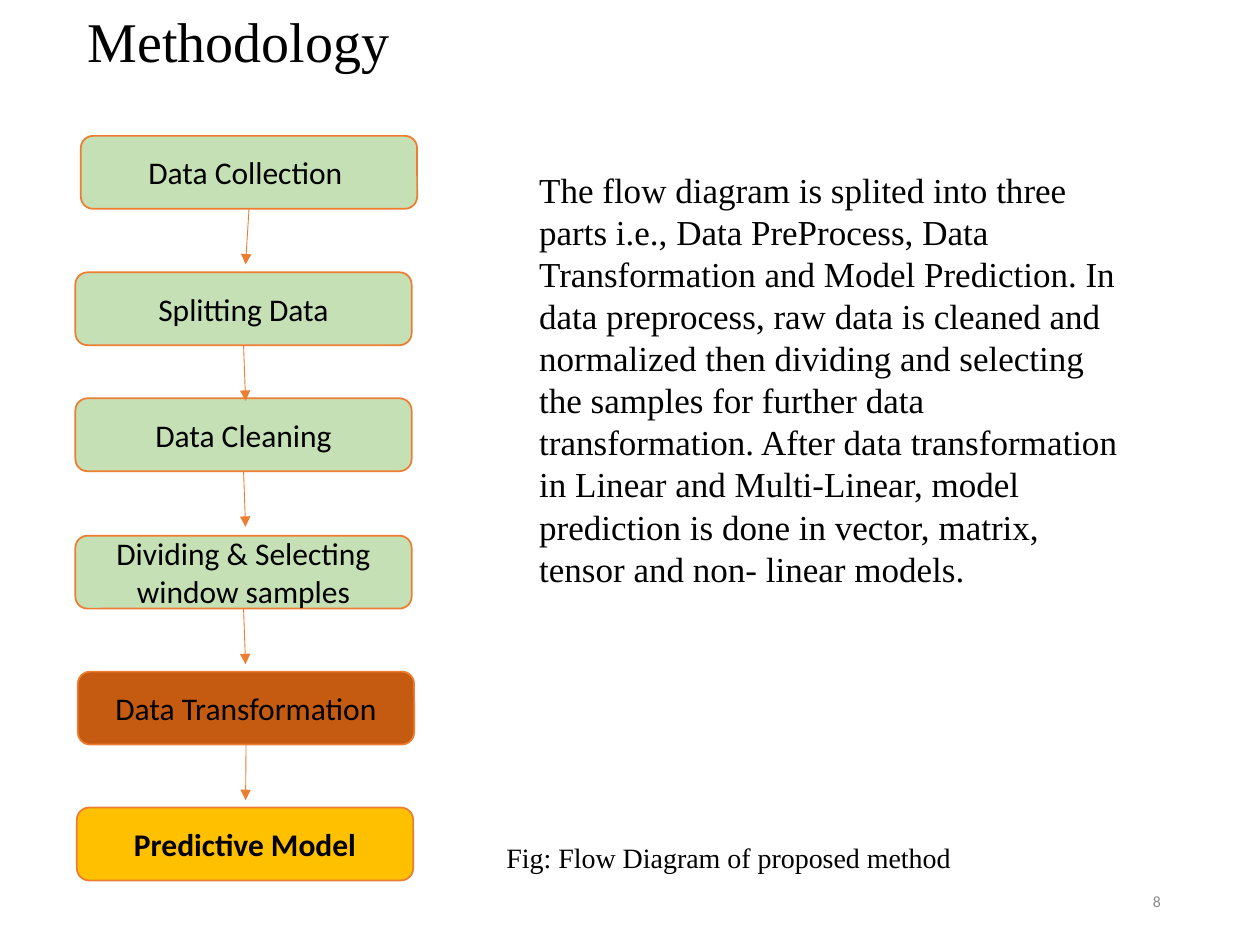
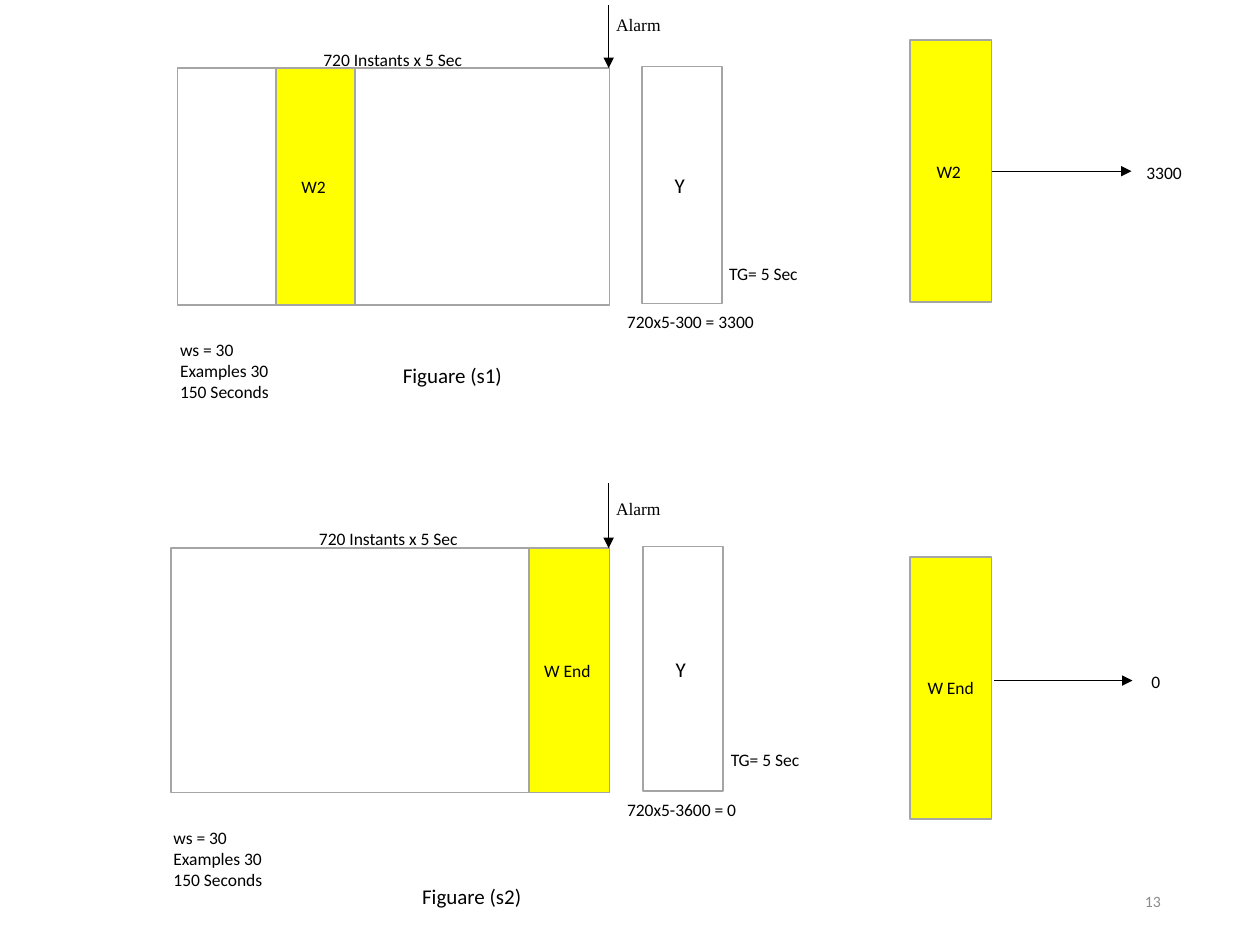
"""Build the methodology flow slide and the window labelling slide."""
from lxml import etree
from pptx import Presentation
from pptx.dml.color import RGBColor
from pptx.enum.shapes import MSO_CONNECTOR, MSO_SHAPE
from pptx.enum.text import MSO_ANCHOR, PP_ALIGN
from pptx.oxml.ns import qn
from pptx.util import Cm, Pt

STRAIGHT = MSO_CONNECTOR.STRAIGHT
RECTANGLE, ROUNDED = MSO_SHAPE.RECTANGLE, MSO_SHAPE.ROUNDED_RECTANGLE
TOP, MIDDLE = MSO_ANCHOR.TOP, MSO_ANCHOR.MIDDLE
LEFT, CENTER, RIGHT = PP_ALIGN.LEFT, PP_ALIGN.CENTER, PP_ALIGN.RIGHT
BOTTOM_SIDE, RIGHT_SIDE = 2, 3

COLORS = {
    "ink": "000000", "paper": "FFFFFF", "muted": "8C8C8C", "orange": "ED7D31",
    "preprocess": "C5E0B4", "transform": "C55A11", "predict": "FFC000",
    "window": "FFFF00", "frame": "A5A5A5",
}
SERIF, SANS = "Times New Roman", "Calibri"
FONTS = {
    "title": {"name": SERIF, "size": Pt(32)},
    "body": {"name": SERIF, "size": Pt(20)},
    "caption": {"name": SERIF, "size": Pt(16)},
    "alarm": {"name": SERIF, "size": Pt(10)},
    "step": {"name": SANS, "size": Pt(18)},
    "last step": {"name": SANS, "size": Pt(18), "bold": True},
    "figure": {"name": SANS, "size": Pt(12)},
    "note": {"name": SANS, "size": Pt(10)},
    "page": {"name": SANS, "size": Pt(9)},
}

PAGE_NUMBER_BOX = (17.93, 17.65, 5.72, 1.02)
METHODOLOGY_TEXTS = [
    ("Methodology", (1.52, 0, 11.58, 1.63), "title"),
    ("The flow diagram is splited into three parts i.e., Data PreProcess, Data "
     "Transformation and Model Prediction. In data preprocess, raw data is cleaned "
     "and normalized then dividing and selecting the samples for further data "
     "transformation. After data transformation in Linear and Multi-Linear, model "
     "prediction is done in vector, matrix, tensor and non- linear models.",
     (10.62, 3.28, 12.42, 8.81), "body"),
    ("Fig: Flow Diagram of proposed method", (9.96, 16.81, 10.59, 0.94), "caption"),
]
STEP_WIDTH, STEP_HEIGHT = 6.78, 1.47
STEP_ARROW_X, STEP_ARROW_LENGTH = 4.95, 1.12
STEPS = [
    ("Data Collection ", 1.63, 2.74, "preprocess", "step"),
    ("Splitting Data", 1.52, 5.49, "preprocess", "step"),
    ("Data Cleaning", 1.52, 8.03, "preprocess", "step"),
    ("Dividing & Selecting window samples", 1.52, 10.8, "preprocess", "step"),
    ("Data Transformation", 1.57, 13.54, "transform", "step"),
    ("Predictive Model", 1.55, 16.28, "predict", "last step"),
]

SIGNAL_WIDTH, SIGNAL_HEIGHT = 8.71, 4.78
WINDOW_WIDTH = 1.6
TARGET_BOX = (9.37, -0.03, WINDOW_WIDTH, SIGNAL_HEIGHT)
ALARM_X, ALARM_START = 8.69, -1.27
SIGNAL_NOTES = [
    ("720 Instants x 5 Sec", (2.69, -0.51, 4.24, 0.66)),
    ("ws = 30\nExamples 30\n150 Seconds", (-0.2, 5.33, 2.9, 1.78)),
    ("TG= 5 Sec", (10.87, 3.81, 2.16, 0.61)),
]
FORMULA_BOX = (8.81, 4.78, 3.38, 0.66)
SAMPLE_LEFT, SAMPLE_WIDTH, SAMPLE_HEIGHT = 18.34, 1.65, 5.28
SCENARIOS = [
    {"signal": (3.58, 1.37, 8.71, 4.78), "window": "W2 ", "window_left": 1.98,
     "alarm_top": -1.22, "formula": "720x5-300 = 3300", "sample": "W2 ",
     "sample_top": 0.81, "arrow": (19.99, 22.81, 3.45), "joined": True,
     "label": "3300", "label_box": (22.86, 3.15, 1.55, 0.69),
     "figure": "Figuare (s1)", "figure_box": (7.87, 7.19, 5.26, 0.76)},
    {"signal": (3.45, 11.05, 8.84, 4.93), "window": "W End ", "window_left": 7.11,
     "alarm_top": -1.11, "formula": "720x5-3600 = 0", "sample": "W End",
     "sample_top": 11.23, "arrow": (20.04, 22.83, 13.72), "joined": False,
     "label": "0", "label_box": (22.96, 13.41, 0.81, 0.69),
     "figure": "Figuare (s2)", "figure_box": (8.26, 17.68, 5.28, 1.27)},
]


def rgb(color):
    return RGBColor.from_string(COLORS[color])


def write(frame, text, style, color="ink", align=LEFT, anchor=TOP):
    frame.word_wrap = True
    frame.vertical_anchor = anchor
    frame.text = text
    for paragraph in frame.paragraphs:
        paragraph.alignment = align
        for attribute, value in FONTS[style].items():
            setattr(paragraph.font, attribute, value)
        paragraph.font.color.rgb = rgb(color)


def add_text(slide, text, box, style, **layout):
    textbox = slide.shapes.add_textbox(*map(Cm, box))
    write(textbox.text_frame, text, style, **layout)


def add_block(slide, kind, box, fill, line, text="", style="note"):
    block = slide.shapes.add_shape(kind, *map(Cm, box))
    block.shadow.inherit = False
    block.fill.solid()
    block.fill.fore_color.rgb = rgb(fill)
    block.line.color.rgb = rgb(line)
    block.line.width = Pt(1)
    if text:
        write(block.text_frame, text, style, align=CENTER, anchor=MIDDLE)
    return block


def add_arrow(slide, start, end, color):
    arrow = slide.shapes.add_connector(STRAIGHT, *map(Cm, start + end))
    arrow.line.color.rgb = rgb(color)
    arrow.line.width = Pt(0.5)
    etree.SubElement(arrow.line._get_or_add_ln(), qn("a:tailEnd"), type="triangle")
    etree.SubElement(arrow._element.spPr, qn("a:effectLst"))
    return arrow


def add_slide(deck, number):
    slide = deck.slides.add_slide(deck.slide_layouts[6])
    add_text(slide, number, PAGE_NUMBER_BOX, "page", color="muted",
             align=RIGHT, anchor=MIDDLE)
    return slide


def build_methodology(deck):
    slide = add_slide(deck, "8")
    for text, box, style in METHODOLOGY_TEXTS:
        add_text(slide, text, box, style)
    steps = [
        add_block(slide, ROUNDED, (left, top, STEP_WIDTH, STEP_HEIGHT),
                  fill, "orange", text, style)
        for text, left, top, fill, style in STEPS
    ]
    for step, (_, _, top, _, _) in zip(steps[:-1], STEPS):
        bottom = top + STEP_HEIGHT
        arrow = add_arrow(slide, (STEP_ARROW_X, bottom),
                          (STEP_ARROW_X, bottom + STEP_ARROW_LENGTH), "orange")
        arrow.begin_connect(step, BOTTOM_SIDE)


def add_signal(slide, scenario):
    left, top, width, height = scenario["signal"]
    x_scale, y_scale = width / SIGNAL_WIDTH, height / SIGNAL_HEIGHT

    def place(x, y, *size):
        scaled = [part * scale for part, scale in zip(size, (x_scale, y_scale))]
        return (left + x * x_scale, top + y * y_scale, *scaled)

    add_block(slide, RECTANGLE, scenario["signal"], "paper", "frame")
    window_box = place(scenario["window_left"], 0, WINDOW_WIDTH, SIGNAL_HEIGHT)
    add_block(slide, RECTANGLE, window_box, "window", "frame", scenario["window"])
    add_block(slide, RECTANGLE, place(*TARGET_BOX), "paper", "frame", "Y ", "figure")
    add_arrow(slide, place(ALARM_X, ALARM_START), place(ALARM_X, 0), "ink")
    add_text(slide, "Alarm", place(8.59, scenario["alarm_top"], 1.57, 0.69), "alarm")
    for text, box in SIGNAL_NOTES + [(scenario["formula"], FORMULA_BOX)]:
        add_text(slide, text, place(*box), "note")


def add_sample(slide, scenario):
    box = (SAMPLE_LEFT, scenario["sample_top"], SAMPLE_WIDTH, SAMPLE_HEIGHT)
    sample = add_block(slide, RECTANGLE, box, "window", "frame", scenario["sample"])
    start, end, height = scenario["arrow"]
    arrow = add_arrow(slide, (start, height), (end, height), "ink")
    if scenario["joined"]:
        arrow.begin_connect(sample, RIGHT_SIDE)
    add_text(slide, scenario["label"], scenario["label_box"], "note")


def build_windows(deck):
    slide = add_slide(deck, "13")
    for scenario in SCENARIOS:
        add_sample(slide, scenario)
        add_signal(slide, scenario)
        add_text(slide, scenario["figure"], scenario["figure_box"], "figure")


def main():
    deck = Presentation()
    deck.slide_width, deck.slide_height = Cm(25.4), Cm(19.05)
    build_methodology(deck)
    build_windows(deck)
    deck.save("out.pptx")


if __name__ == "__main__":
    main()
